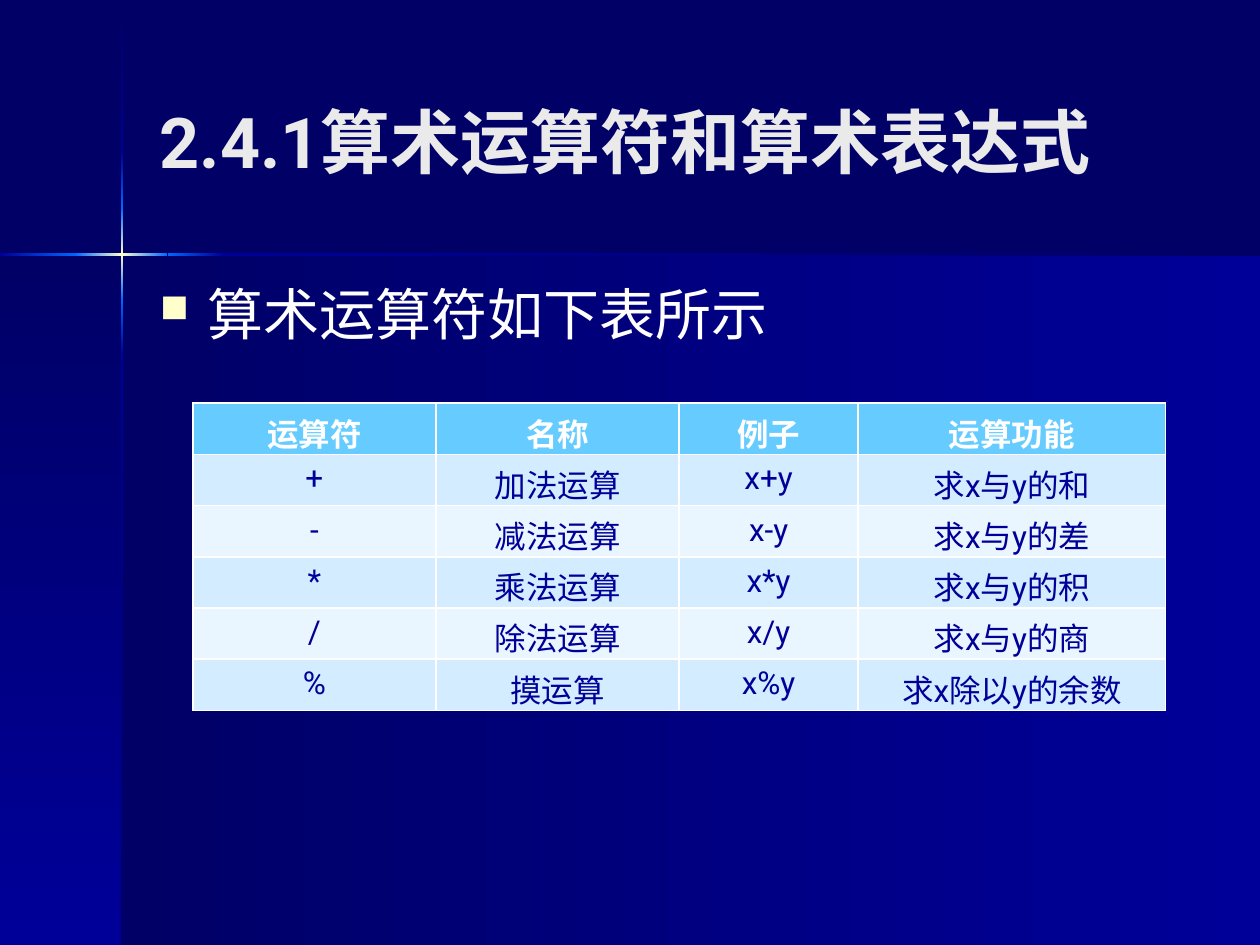
import pptx
import pptx.dml.color
import pptx.enum.shapes
import pptx.enum.text
import pptx.oxml
import pptx.oxml.ns
import pptx.util
from lxml import etree

WIDTH, HEIGHT = 10, 7.5
CROSS_X, CROSS_Y = 0.97, 2.02
BAR = 0.02
FONT = "Roboto"
NAVY, BLUE, BRIGHT, CREAM, WHITE = "000066", "000099", "0066FF", "FFFFCC", "FFFFFF"
GLOW = (BRIGHT, CREAM, BRIGHT)

OPERATORS = [
    ("运算符", "名称", "例子", "运算功能"),
    ("+", "加法运算", "x+y", "求x与y的和"),
    ("-", "减法运算", "x-y", "求x与y的差"),
    ("*", "乘法运算", "x*y", "求x与y的积"),
    ("/", "除法运算", "x/y", "求x与y的商"),
    ("%", "摸运算", "x%y", "求x除以y的余数"),
]


def rgb(value):
    return pptx.dml.color.RGBColor.from_string(value)


def inches(*lengths):
    return [pptx.util.Inches(length) for length in lengths]


def add_gradient(page, box, colors, vertical):
    """Add a rectangle with evenly spaced colours, left to right or top to bottom."""
    shape = page.shapes.add_shape(
        pptx.enum.shapes.MSO_SHAPE.RECTANGLE, *inches(*box))
    shape.shadow.inherit = False
    shape.line.fill.background()
    shape.fill.gradient()
    shape.fill.gradient_angle = 270 if vertical else 0
    stops = shape.element.spPr.find(".//" + pptx.oxml.ns.qn("a:gsLst"))
    for stop in list(stops):
        stops.remove(stop)
    for index, color in enumerate(colors):
        position = 100000 * index // (len(colors) - 1)
        stop = etree.SubElement(stops, pptx.oxml.ns.qn("a:gs"), pos=str(position))
        etree.SubElement(stop, pptx.oxml.ns.qn("a:srgbClr"), val=color)


def add_backdrop(page):
    page.background.fill.solid()
    page.background.fill.fore_color.rgb = rgb(NAVY)
    depth = HEIGHT - CROSS_Y
    add_gradient(page, (CROSS_X, CROSS_Y, WIDTH - CROSS_X, depth), (NAVY, BLUE), False)
    add_gradient(page, (0, CROSS_Y, CROSS_X, depth), (NAVY, BLUE), True)

    upright = [
        (0.01, 1.21, (NAVY, BLUE)),
        (2.82, HEIGHT, (BLUE, NAVY)),
        (2.38, 2.82, (BRIGHT, BLUE)),
        (1.21, 1.65, (BLUE, BRIGHT)),
        (1.65, 2.38, GLOW),
    ]
    level = [
        (1.77, WIDTH, (BLUE, NAVY)),
        (0, 0.61, (BLUE, BRIGHT)),
        (1.33, 1.77, (BRIGHT, BLUE)),
        (0.6, 1.33, GLOW),
    ]
    for start, end, colors in upright:
        add_gradient(page, (CROSS_X - BAR / 2, start, BAR, end - start), colors, True)
    for start, end, colors in level:
        add_gradient(page, (start, CROSS_Y - BAR / 2, end - start, BAR), colors, False)


def style_paragraph(para, size, color, bold=False):
    para.font.name = FONT
    para.font.size = pptx.util.Pt(size)
    para.font.bold = bold
    para.font.color.rgb = rgb(color)


def add_text(page, box, text, size, color, bold=False):
    frame = page.shapes.add_textbox(*inches(*box)).text_frame
    frame.word_wrap = True
    frame.text = text
    style_paragraph(frame.paragraphs[0], size, color, bold)
    return frame


def add_title(page, box):
    frame = add_text(page, box, "2.4.1算术运算符和算术表达式", 40, "EAEAEA", True)
    frame.vertical_anchor = pptx.enum.text.MSO_ANCHOR.MIDDLE


def add_bullet(page, box):
    para = add_text(page, box, "算术运算符如下表所示", 32, WHITE).paragraphs[0]
    para.space_before = pptx.util.Pt(6.4)
    properties = para._p.get_or_add_pPr()
    indent = pptx.util.Inches(0.38)
    properties.set("marL", str(indent))
    properties.set("indent", str(-indent))
    namespace = pptx.oxml.ns.nsdecls("a")
    marks = [
        f'<a:buClr {namespace}><a:srgbClr val="{CREAM}"/></a:buClr>',
        f'<a:buSzPct {namespace} val="70000"/>',
        f'<a:buChar {namespace} char="■"/>',
    ]
    defaults = properties.find(pptx.oxml.ns.qn("a:defRPr"))
    for mark in marks:
        defaults.addprevious(pptx.oxml.parse_xml(mark))


def add_operator_table(page, box):
    table = page.shapes.add_table(
        len(OPERATORS), len(OPERATORS[0]), *inches(*box)).table
    for column, share in zip(table.columns, (0.25, 0.25, 0.184, 0.316)):
        column.width = pptx.util.Inches(box[2] * share)
    for row, texts in enumerate(OPERATORS):
        header = row == 0
        fill = "66CCFF" if header else ("EAF6FF", "D3ECFF")[row % 2]
        for column, text in enumerate(texts):
            cell = table.cell(row, column)
            cell.fill.solid()
            cell.fill.fore_color.rgb = rgb(fill)
            cell.text = text
            para = cell.text_frame.paragraphs[0]
            para.alignment = pptx.enum.text.PP_ALIGN.CENTER
            style_paragraph(para, 18, WHITE if header else BLUE, header)


def main():
    deck = pptx.Presentation()
    deck.slide_width, deck.slide_height = inches(WIDTH, HEIGHT)
    page = deck.slides.add_slide(deck.slide_layouts[6])
    add_backdrop(page)
    add_title(page, (1.17, 0.33, 8.25, 1.57))
    add_bullet(page, (1.17, 2.17, 8.25, 4.5))
    add_operator_table(page, (1.53, 3.2, 7.72, 2.44))
    deck.save("out.pptx")


if __name__ == "__main__":
    main()
